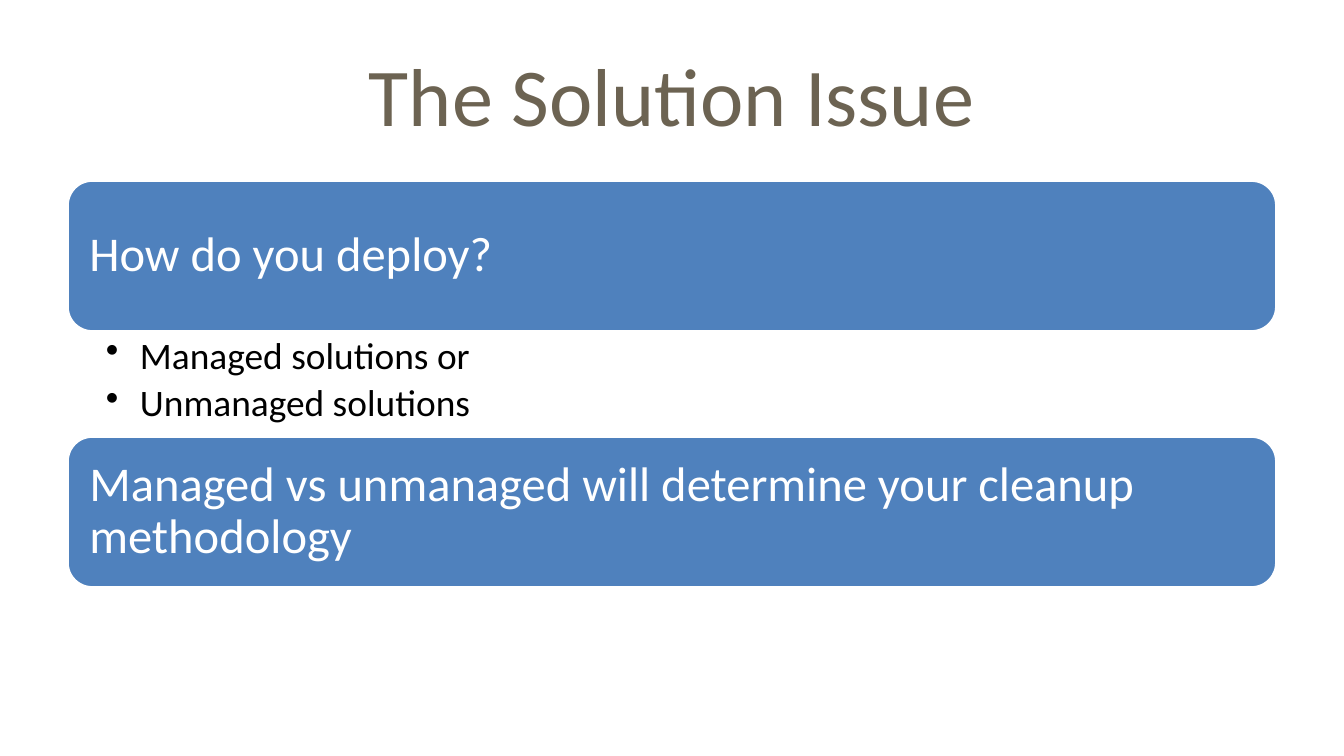
from dataclasses import dataclass

from lxml import etree
from pptx import Presentation
from pptx.dml.color import RGBColor
from pptx.enum.shapes import MSO_SHAPE
from pptx.enum.text import MSO_ANCHOR, PP_ALIGN
from pptx.oxml.ns import qn
from pptx.shapes.autoshape import Shape
from pptx.slide import Slide
from pptx.util import Emu, Pt

ROUNDED = MSO_SHAPE.ROUNDED_RECTANGLE
TOP, MIDDLE = MSO_ANCHOR.TOP, MSO_ANCHOR.MIDDLE
LEFT, CENTER = PP_ALIGN.LEFT, PP_ALIGN.CENTER

TITLE_COLOR = RGBColor(0x6C, 0x63, 0x52)
BLUE = RGBColor(0x4F, 0x81, 0xBD)
WHITE = RGBColor(0xFF, 0xFF, 0xFF)
BLACK = RGBColor(0x00, 0x00, 0x00)

FONT = "Calibri"
SLIDE_WIDTH, SLIDE_HEIGHT = 1344, 756
MARGIN = 67
CONTENT_WIDTH = SLIDE_WIDTH - 2 * MARGIN
CARD_HEIGHT = 152
LIST_HEIGHT = 104
FIRST_CARD_TOP = 180
LIST_TOP = FIRST_CARD_TOP + CARD_HEIGHT
BULLET_INDENT = 34


def px(length: int) -> Emu:
    return Emu(round(length * 914400 / 134.4))


@dataclass(frozen=True)
class TextStyle:
    size: int
    color: RGBColor
    anchor: MSO_ANCHOR = MIDDLE
    alignment: PP_ALIGN = LEFT
    line_spacing: float = 0.9
    space_after: int = 0
    insets: tuple[int, int, int, int] = (15, 15, 15, 15)
    bulleted: bool = False


@dataclass(frozen=True)
class Card:
    top: int
    text: str


TITLE_STYLE = TextStyle(44, TITLE_COLOR, alignment=CENTER, line_spacing=1.0,
                        insets=(13, 7, 13, 7))
CARD_STYLE = TextStyle(26, WHITE)
LIST_STYLE = TextStyle(20, BLACK, anchor=TOP, space_after=4,
                       insets=(39, 5, 27, 5), bulleted=True)

CARDS = (
    Card(FIRST_CARD_TOP, "How do you deploy?"),
    Card(LIST_TOP + LIST_HEIGHT,
         "Managed vs unmanaged will determine your cleanup methodology"),
)
OPTIONS = ("Managed solutions or", "Unmanaged solutions")


def set_attributes(target: object, values: dict[str, object]) -> None:
    for name, value in values.items():
        setattr(target, name, value)


def write_text(shape: Shape, lines: tuple[str, ...], style: TextStyle) -> None:
    frame = shape.text_frame
    left, top, right, bottom = map(px, style.insets)
    set_attributes(frame, {
        "word_wrap": True, "vertical_anchor": style.anchor,
        "margin_left": left, "margin_top": top,
        "margin_right": right, "margin_bottom": bottom,
    })
    frame.text = "\n".join(lines)
    for paragraph in frame.paragraphs:
        set_attributes(paragraph, {
            "alignment": style.alignment, "line_spacing": style.line_spacing,
            "space_after": Pt(style.space_after),
        })
        if style.bulleted:
            properties = paragraph._p.get_or_add_pPr()
            properties.set("marL", str(px(BULLET_INDENT)))
            properties.set("indent", str(-px(BULLET_INDENT)))
            etree.SubElement(properties, qn("a:buChar")).set("char", "•")
        for run in paragraph.runs:
            set_attributes(run.font, {"name": FONT, "size": Pt(style.size)})
            run.font.color.rgb = style.color


def add_text(slide: Slide, top: int, height: int, lines: tuple[str, ...],
             style: TextStyle) -> None:
    box = slide.shapes.add_textbox(px(MARGIN), px(top), px(CONTENT_WIDTH), px(height))
    write_text(box, lines, style)


def add_card(slide: Slide, card: Card) -> None:
    shape = slide.shapes.add_shape(
        ROUNDED, px(MARGIN), px(card.top), px(CONTENT_WIDTH), px(CARD_HEIGHT))
    shape.shadow.inherit = False
    shape.fill.solid()
    shape.fill.fore_color.rgb = BLUE
    shape.line.color.rgb = WHITE
    shape.line.width = Pt(2)
    write_text(shape, (card.text,), CARD_STYLE)


def main() -> None:
    presentation = Presentation()
    presentation.slide_width = px(SLIDE_WIDTH)
    presentation.slide_height = px(SLIDE_HEIGHT)
    slide = presentation.slides.add_slide(presentation.slide_layouts[6])
    add_text(slide, 31, 126, ("The Solution Issue",), TITLE_STYLE)
    for card in CARDS:
        add_card(slide, card)
    add_text(slide, LIST_TOP, LIST_HEIGHT, OPTIONS, LIST_STYLE)
    presentation.save("out.pptx")


if __name__ == "__main__":
    main()
